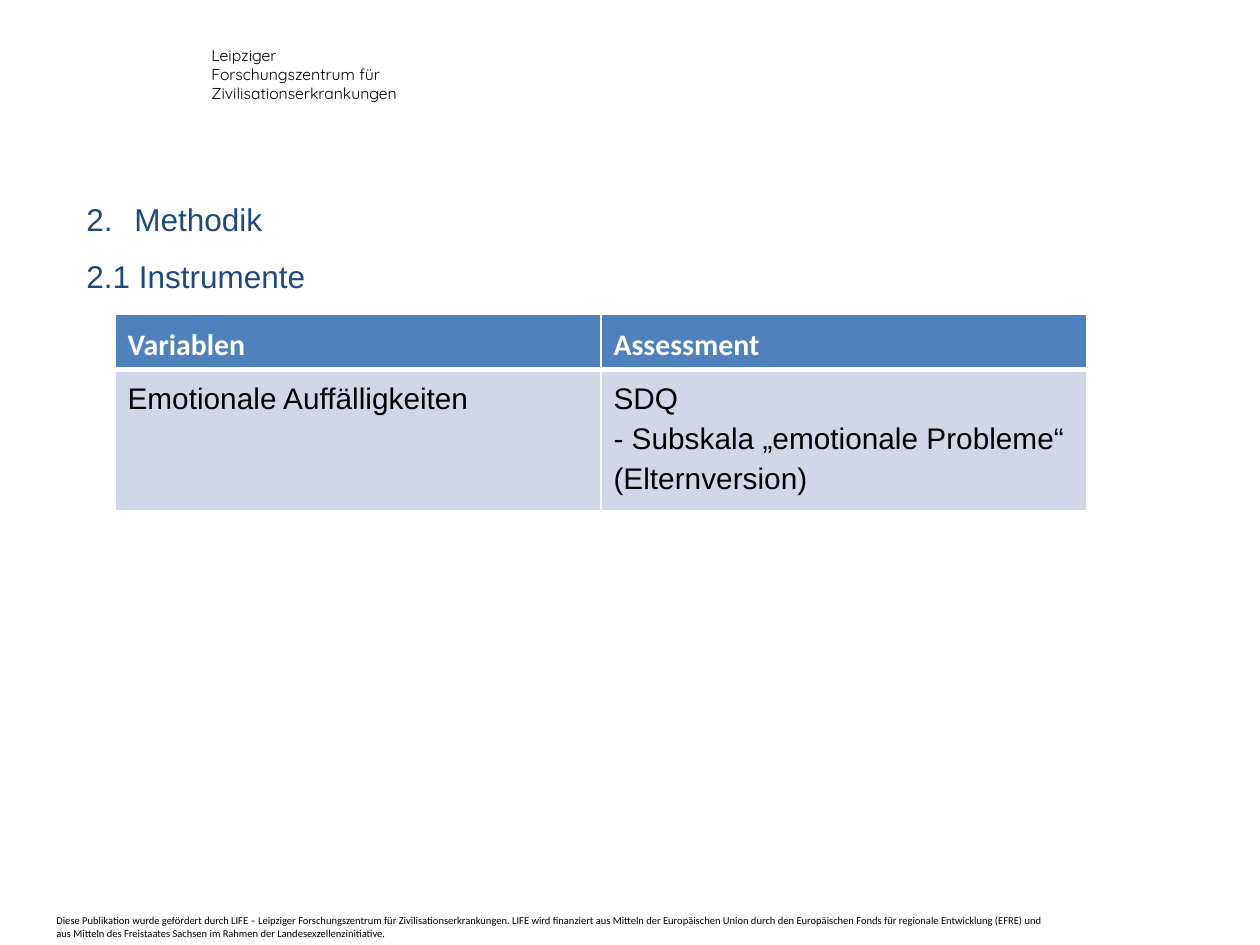
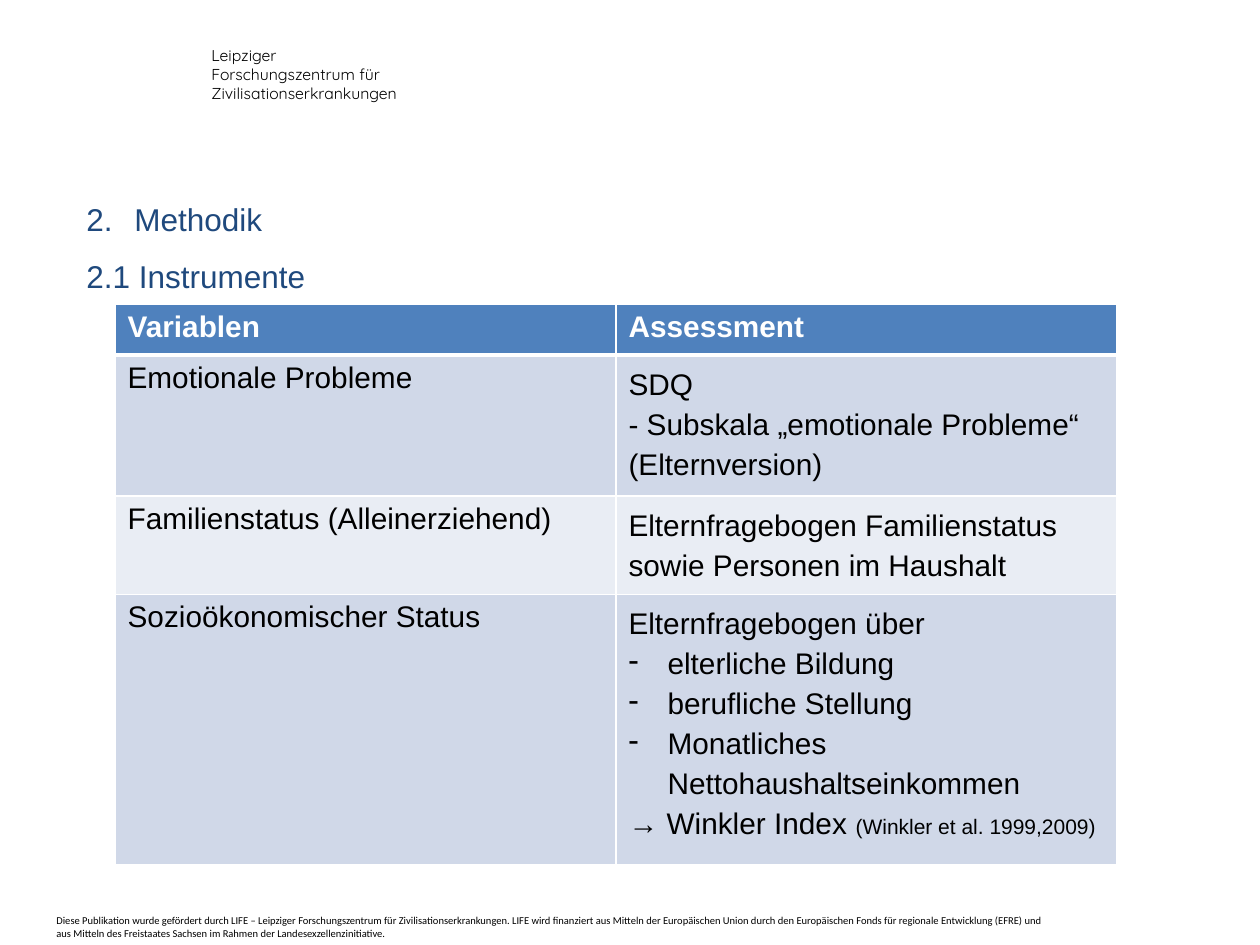
from copy import deepcopy

from lxml import etree
from pptx import Presentation
from pptx import util as u
from pptx.dml.color import RGBColor
from pptx.oxml.ns import qn

PX = 914400 / 126
COLORS = {
    "title": "1F497D",
    "text": "000000",
    "white": "FFFFFF",
    "header": "4F81BD",
    "band_dark": "D0D8E8",
    "band_light": "E9EDF4",
}
CENTRE = "Leipziger Forschungszentrum für Zivilisationserkrankungen"
FUNDING = (
    "Diese Publikation wurde gefördert durch LIFE – Leipziger Forschungszentrum für "
    "Zivilisationserkrankungen. LIFE wird finanziert aus Mitteln der Europäischen Union "
    "durch den Europäischen Fonds für regionale Entwicklung (EFRE) und aus Mitteln des "
    "Freistaates Sachsen im Rahmen der Landesexzellenzinitiative."
)
SDQ = "SDQ\n- Subskala „emotionale Probleme“\n(Elternversion)"


def px(n):
    return u.Emu(round(n * PX))


def rgb(name):
    return RGBColor.from_string(COLORS[name])


def sub(parent, tag, **attrs):
    return etree.SubElement(parent, qn(tag), attrs)


def add_bullet(p, indent, color, char=None, start=None):
    """Hanging bullet: a character, or a number counted from start."""
    pPr = p._p.get_or_add_pPr()
    pPr.set("marL", str(px(indent)))
    pPr.set("indent", str(-px(indent)))
    sub(sub(pPr, "a:buClr"), "a:srgbClr", val=COLORS[color])
    if char:
        sub(pPr, "a:buChar", char=char)
    else:
        sub(pPr, "a:buAutoNum", type="arabicPeriod", startAt=str(start))


def add_run(p, text, size, font, color, bold):
    """Add text to p, with each newline as a line break in the same format."""
    for i, line in enumerate(text.split("\n")):
        if i:
            p.add_line_break()
            p._p.findall(qn("a:br"))[-1].append(deepcopy(r.font._element))
        r = p.add_run()
        r.text = line
        r.font.size = u.Pt(size)
        r.font.name = font
        r.font.bold = bold
        r.font.color.rgb = rgb(color)


def write(tf, text, size=17, font="Arial", color="text", bold=False,
          spacing=None, bullet=None, small=None):
    """Write one paragraph; small is a 12 pt addition at its end."""
    first = tf.paragraphs[0]
    p = tf.add_paragraph() if first.runs else first
    if spacing:
        p.line_spacing = spacing
    if bullet:
        add_bullet(p, color=color, **bullet)
    add_run(p, text, size, font, color, bold)
    if small:
        add_run(p, small, 12, font, color, bold)


def add_textbox(s, left, top, width, height):
    tf = s.shapes.add_textbox(px(left), px(top), px(width), px(height)).text_frame
    tf.word_wrap = True
    return tf


def set_borders(cell, **widths):
    """White borders, widths in points by side letter (L, R, T, B)."""
    tcPr = cell._tc.get_or_add_tcPr()
    for side in "LRTB":
        ln = sub(tcPr, f"a:ln{side}", w=str(u.Pt(widths.get(side, 1))))
        sub(sub(ln, "a:solidFill"), "a:srgbClr", val=COLORS["white"])


def add_table(s, left, top, col_width, row_heights, rows):
    """Each cell is a list of paragraphs, given as keyword arguments of write."""
    n_cols = len(rows[0])
    table = s.shapes.add_table(len(rows), n_cols, px(left), px(top),
                               px(col_width * n_cols), px(sum(row_heights))).table
    for col in table.columns:
        col.width = px(col_width)
    for i, (row, height) in enumerate(zip(rows, row_heights)):
        table.rows[i].height = px(height)
        fill = "header" if i == 0 else "band_dark" if i % 2 else "band_light"
        for j, paragraphs in enumerate(row):
            cell = table.cell(i, j)
            set_borders(cell, T=3 if i == 1 else 1, B=3 if i == 0 else 1)
            cell.fill.solid()
            cell.fill.fore_color.rgb = rgb(fill)
            for par in paragraphs:
                write(cell.text_frame, **par)


def par(text, **fmt):
    return dict(text=text, **fmt)


def header_row(**fmt):
    return [[par(t, color="white", bold=True, **fmt)] for t in ("Variablen", "Assessment")]


def add_instruments_slide(prs):
    """Slide with the centre's name, the section headings and the funding note."""
    s = prs.slides.add_slide(prs.slide_layouts[6])
    write(add_textbox(s, 199, 40, 229, 50), CENTRE, size=9, font="Quicksand")
    write(add_textbox(s, 44, 908, 1012, 38), FUNDING, size=6, font="Calibri")
    tf = add_textbox(s, 74, 175, 1012, 394)
    heading = dict(size=18, color="title", spacing=1.5)
    write(tf, "Methodik", bullet=dict(indent=48, start=2), **heading)
    write(tf, "2.1 Instrumente", **heading)
    return s


def main():
    prs = Presentation()
    prs.slide_width, prs.slide_height = px(1260), px(945)

    wide = dict(spacing=1.2)
    s = add_instruments_slide(prs)
    add_table(s, 115, 314, 486, [55, 141], [
        header_row(font="Calibri", **wide),
        [[par("Emotionale Auffälligkeiten", **wide)], [par(SDQ, **wide)]],
    ])

    dash = dict(bullet=dict(indent=39, char="-"), **wide)
    s = add_instruments_slide(prs)
    add_table(s, 115, 304, 501, [51, 141, 98, 270], [
        header_row(),
        [[par("Emotionale Probleme")], [par(SDQ, **wide)]],
        [[par("Familienstatus (Alleinerziehend)")],
         [par("Elternfragebogen Familienstatus sowie Personen im Haushalt", **wide)]],
        [[par("Sozioökonomischer Status")],
         [par("Elternfragebogen über", **wide),
          par("elterliche Bildung", **dash),
          par("berufliche Stellung", **dash),
          par("Monatliches Nettohaushaltseinkommen", **dash),
          par("→ Winkler Index ", small="(Winkler et al. 1999,2009)", **wide)]],
    ])
    prs.save("out.pptx")


if __name__ == "__main__":
    main()
